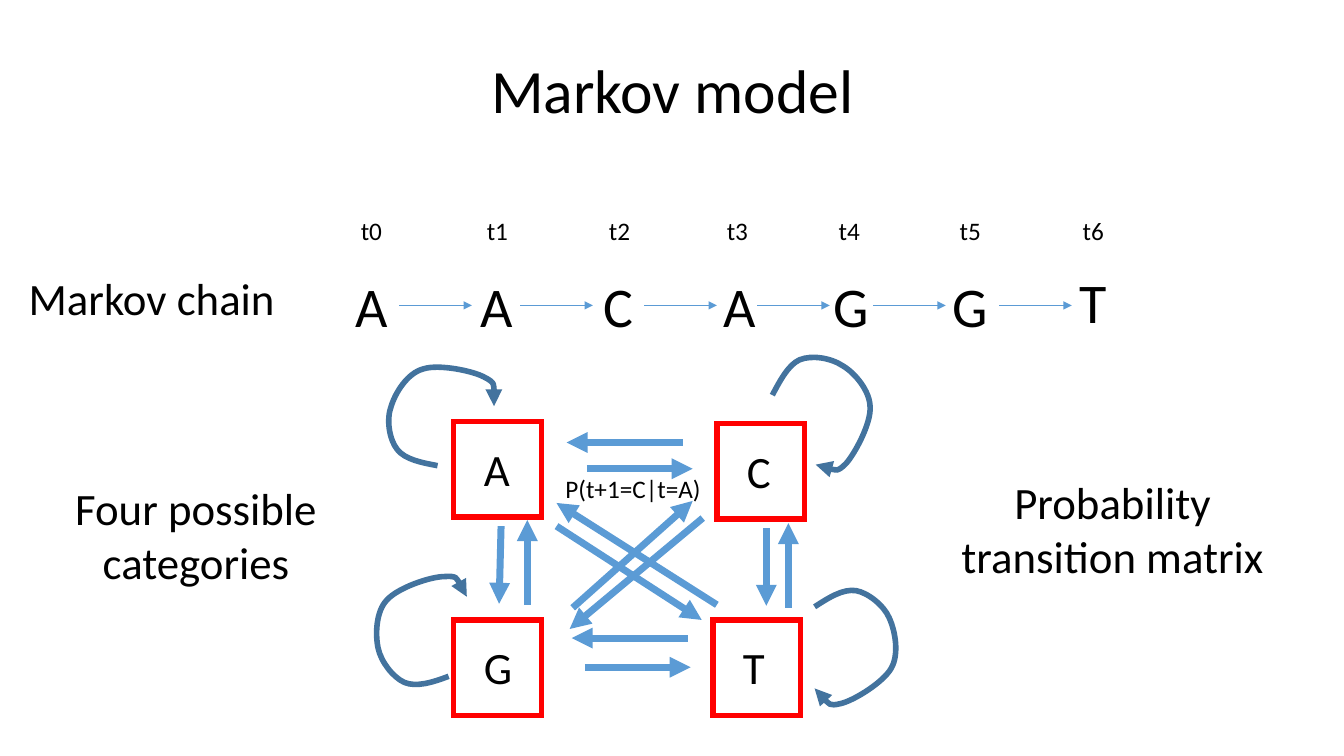
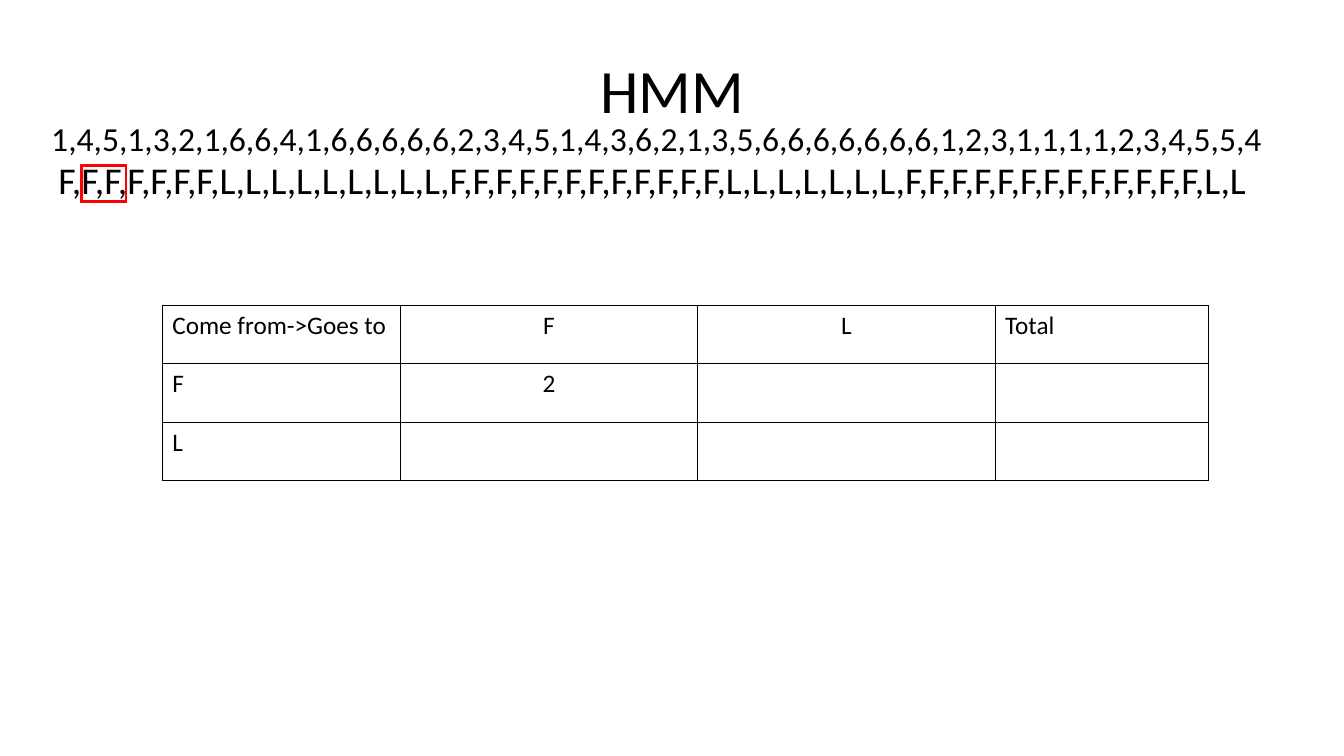
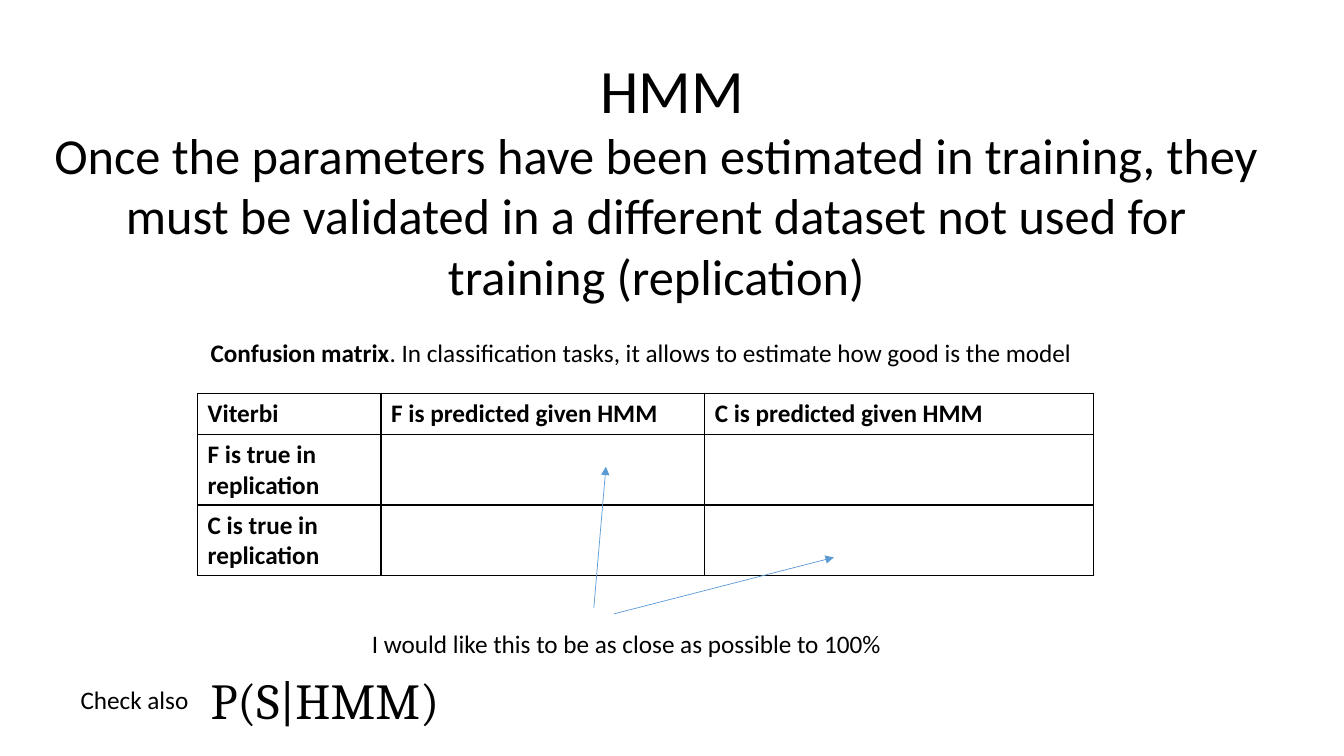
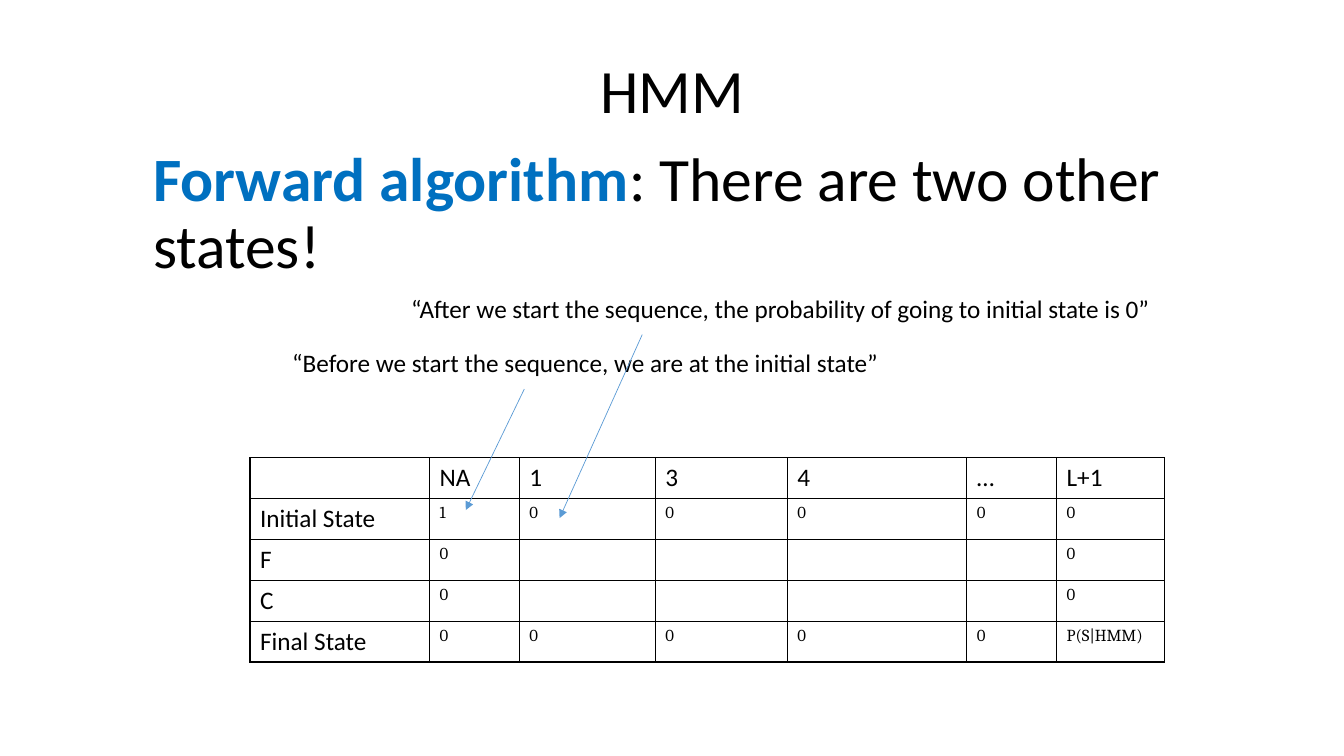
from dataclasses import dataclass
from typing import Callable, Optional, Sequence

from lxml import etree
from pptx import Presentation
from pptx.dml.color import RGBColor
from pptx.enum.shapes import MSO_CONNECTOR, MSO_SHAPE
from pptx.enum.text import MSO_ANCHOR, MSO_AUTO_SIZE, PP_ALIGN
from pptx.oxml import parse_xml
from pptx.oxml.ns import nsdecls, qn
from pptx.util import Pt

EMU_PER_PX = 9144
BLACK, RED = "000000", "FF0000"
BLUE, DARK_BLUE, ACCENT = "5B9BD5", "43739E", "0070C0"
BODY_FONT, MATH_FONT = "Calibri", "Cambria"
LEFT, CENTER = PP_ALIGN.LEFT, PP_ALIGN.CENTER
TOP, MIDDLE = MSO_ANCHOR.TOP, MSO_ANCHOR.MIDDLE
GROW, FIXED = MSO_AUTO_SIZE.SHAPE_TO_FIT_TEXT, MSO_AUTO_SIZE.NONE
STRAIGHT, RECT = MSO_CONNECTOR.STRAIGHT, MSO_SHAPE.RECTANGLE

Box = tuple[int, int, int, int]
Point = tuple[int, int]


@dataclass(frozen=True)
class Style:
    size: int = 18
    font: str = BODY_FONT
    bold: bool = False
    align: PP_ALIGN = LEFT
    spacing: Optional[float] = None
    anchor: MSO_ANCHOR = TOP
    wrap: bool = False
    fit: MSO_AUTO_SIZE = GROW


@dataclass(frozen=True)
class Lead:
    text: str
    color: str = BLACK


@dataclass(frozen=True)
class Step:
    letter: str
    left: int
    width: int
    label_left: int
    arrow_left: Optional[int] = None


@dataclass(frozen=True)
class State:
    letter: str
    left: int
    top: int
    text_width: int


@dataclass(frozen=True)
class Grid:
    left: int
    top: int
    cols: Sequence[int]
    rows: Sequence[int]
    cells: Sequence[Sequence[str]]


NOTE = Style()
TITLE = Style(44, align=CENTER, spacing=0.9, anchor=MIDDLE, wrap=True, fit=FIXED)
SUBTITLE = Style(44, spacing=0.9, anchor=MIDDLE, wrap=True, fit=FIXED)
HEADING = Style(32, align=CENTER, wrap=True)
STATEMENT = Style(36, align=CENTER, wrap=True)
CHAIN_LETTER, STATE_LETTER = Style(40), Style(32)
FORMULA = Style(36, MATH_FONT)
CELL, CELL_CENTER = Style(), Style(align=CENTER)
CELL_BOLD, CELL_MATH = Style(bold=True), Style(12, MATH_FONT)

STEPS = (
    Step("A", 343, 53, 348, 396),
    Step("A", 467, 53, 473, 516),
    Step("C", 589, 50, 594, 639),
    Step("A", 708, 53, 711, 751),
    Step("G", 817, 56, 822, 866),
    Step("G", 935, 56, 942, 991),
    Step("T", 1061, 48, 1064),
)
STATES = (
    State("A", 450, 418, 46),
    State("C", 711, 420, 44),
    State("G", 450, 615, 49),
    State("T", 707, 615, 42),
)
TRANSITIONS: Sequence[tuple[Point, Point]] = (
    ((677, 439), (562, 439)), ((582, 465), (687, 465)),
    ((497, 522), (495, 599)), ((523, 600), (523, 516)),
    ((760, 524), (760, 601)), ((782, 603), (782, 519)),
    ((682, 633), (567, 633)), ((580, 662), (685, 662)),
    ((552, 522), (696, 615)), ((711, 600), (552, 499)),
    ((568, 603), (687, 497)), ((697, 514), (565, 624)),
)
LOOPS: Sequence[Sequence[Point]] = (
    ((434, 462), (418, 459), (402, 456), (394, 446), (386, 436), (383, 416), (388, 403),
     (392, 390), (404, 370), (420, 366), (435, 361), (469, 368), (480, 374),
     (492, 380), (491, 392), (490, 403)),
    ((445, 671), (429, 677), (413, 682), (401, 677), (390, 672), (378, 657), (375, 643),
     (372, 629), (373, 606), (384, 595), (395, 583), (427, 572), (441, 572),
     (454, 571), (459, 582), (463, 592)),
    ((766, 392), (774, 377), (782, 362), (793, 357), (805, 352), (824, 355), (836, 363),
     (848, 370), (863, 388), (863, 404), (864, 420), (848, 450), (839, 460),
     (830, 469), (819, 465), (809, 461)),
    ((808, 602), (822, 593), (836, 584), (849, 586), (861, 588), (877, 601), (882, 613),
     (888, 626), (892, 649), (884, 663), (876, 677), (847, 695), (834, 698),
     (822, 701), (815, 692), (808, 683)),
)
ROLLS = ("1,4,5,1,3,2,1,6,6,4,1,6,6,6,6,6,2,3,4,5,1,4,3,6,2,1,3,5,"
         "6,6,6,6,6,6,6,1,2,3,1,1,1,1,2,3,4,5,5,4")
HIDDEN = ",".join("F" * 7 + "L" * 9 + "F" * 12 + "L" * 7 + "F" * 13 + "L" * 2)


def px(n: int) -> int:
    return n * EMU_PER_PX


def rgb(color: str) -> RGBColor:
    return RGBColor.from_string(color)


def set_text(tf, text: str, style: Style, lead: Optional[Lead] = None) -> None:
    p = tf.paragraphs[0]
    p.alignment = style.align
    if style.spacing:
        p.line_spacing = style.spacing
    p.font.size = Pt(style.size)
    p.font.name = style.font
    p.font.bold = style.bold
    p.font.color.rgb = rgb(BLACK)
    if lead:
        r = p.add_run()
        r.text = lead.text
        r.font.bold = True
        r.font.color.rgb = rgb(lead.color)
    p.add_run().text = text


def add_text(slide, box: Box, text: str, style: Style = NOTE, lead: Optional[Lead] = None) -> None:
    tf = slide.shapes.add_textbox(*map(px, box)).text_frame
    tf.word_wrap = style.wrap
    tf.auto_size = style.fit
    tf.vertical_anchor = style.anchor
    set_text(tf, text, style, lead)


def add_title(slide, text: str) -> None:
    add_text(slide, (217, 30, 900, 125), text, TITLE)


def set_line(sp, color: str, width: float, arrow: bool = False) -> None:
    sp.line.color.rgb = rgb(color)
    sp.line.width = Pt(width)
    ln = sp.get_or_add_ln()
    etree.SubElement(ln, qn("a:miter"), lim="800000")
    if arrow:
        etree.SubElement(ln, qn("a:tailEnd"), type="triangle")


def add_arrow(slide, start: Point, end: Point, width: float = 0.5) -> None:
    sp = slide.shapes.add_connector(STRAIGHT, *map(px, start + end))
    set_line(sp, BLUE, width, arrow=True)
    etree.SubElement(sp.element.spPr, qn("a:effectLst"))


def add_frame(slide, box: Box, width: float) -> None:
    sp = slide.shapes.add_shape(RECT, *map(px, box))
    sp.shadow.inherit = False
    sp.fill.background()
    set_line(sp, RED, width)


def add_loop(slide, knots: Sequence[Point]) -> None:
    builder = slide.shapes.build_freeform(*knots[0], scale=EMU_PER_PX)
    builder.add_line_segments(knots[1:], close=False)
    sp = builder.convert_to_shape()
    segments = list(sp.element.iter(qn("a:lnTo")))
    for i in range(0, len(segments), 3):
        first, *rest = segments[i:i + 3]
        first.tag = qn("a:cubicBezTo")
        for segment in rest:
            first.append(segment[0])
            segment.getparent().remove(segment)
    sp.shadow.inherit = False
    sp.fill.background()
    set_line(sp, DARK_BLUE, 4, arrow=True)


def add_grid(slide, grid: Grid, style_at: Callable[[int, int], Style]) -> None:
    size = len(grid.rows), len(grid.cols)
    box = grid.left, grid.top, sum(grid.cols), sum(grid.rows)
    frame = slide.shapes.add_table(*size, *map(px, box))
    table = frame.table
    table.first_row = table.horz_banding = False
    for col, width in zip(table.columns, grid.cols):
        col.width = px(width)
    for row, height in zip(table.rows, grid.rows):
        row.height = px(height)
    for i, texts in enumerate(grid.cells):
        for j, text in enumerate(texts):
            cell = table.cell(i, j)
            cell.fill.background()
            if text:
                set_text(cell.text_frame, text, style_at(i, j))
    for props in frame.element.iter(qn("a:tcPr")):
        for i, side in enumerate(("lnL", "lnR", "lnT", "lnB")):
            props.insert(i, parse_xml(
                f'<a:{side} {nsdecls("a")} w="{Pt(1)}"><a:solidFill>'
                f'<a:srgbClr val="{BLACK}"/></a:solidFill></a:{side}>'))


def build_markov(slide) -> None:
    add_title(slide, "Markov model")
    add_text(slide, (-44, 264, 389, 64), "Markov chain", HEADING)
    for i, step in enumerate(STEPS):
        top = 264 if step.arrow_left else 261
        add_text(slide, (step.left, top, step.width, 77), step.letter, CHAIN_LETTER)
        add_text(slide, (step.label_left, 209, 41, 40), f"t{i}")
        if step.arrow_left:
            add_arrow(slide, (step.arrow_left, 303), (step.arrow_left + 72, 303))
    for state in STATES:
        add_frame(slide, (state.left, state.top, 87, 95), 4)
        box = state.left + 20, state.top + 15, state.text_width, 64
        add_text(slide, box, state.letter, STATE_LETTER)
    for start, end in TRANSITIONS:
        add_arrow(slide, start, end, 5)
    for knots in LOOPS:
        add_loop(slide, knots)
    add_text(slide, (909, 466, 389, 118), "Probability transition matrix", HEADING)
    add_text(slide, (43, 472, 303, 118), "Four possible categories", HEADING)
    add_text(slide, (551, 465, 156, 40), "P(t+1=C|t=A)")


def build_counts(slide) -> None:
    add_title(slide, "HMM")
    add_text(slide, (41, 112, 1232, 50), ROLLS, Style(24))
    add_frame(slide, (81, 164, 44, 36), 2)
    grid = Grid(161, 303, (236, 295, 295, 212), (58,) * 3, (
        ("Come from->Goes to", "F", "L", "Total"),
        ("F", "2", "", ""),
        ("L", "", "", ""),
    ))
    add_grid(slide, grid, lambda i, j: CELL_CENTER if j in (1, 2) else CELL)
    add_text(slide, (48, 151, 1211, 56), HIDDEN, Style(27))


def build_validation(slide) -> None:
    add_title(slide, "HMM")
    add_text(slide, (34, 118, 1234, 192),
             "Once the parameters have been estimated in training, they must be validated "
             "in a different dataset not used for training (replication)", STATEMENT)
    grid = Grid(196, 390, (182, 321, 386), (41, 70, 70), (
        ("Viterbi", "F is predicted given HMM", "C is predicted given HMM"),
        ("F is true in replication", "", ""),
        ("C is true in replication", "", ""),
    ))
    add_grid(slide, grid, lambda i, j: CELL_BOLD)
    add_text(slide, (199, 330, 883, 40),
             ". In classification tasks, it allows to estimate how good is the model",
             lead=Lead("Confusion matrix"))
    add_arrow(slide, (589, 603), (601, 463))
    add_arrow(slide, (609, 609), (827, 553))
    add_text(slide, (359, 618, 531, 40), "I would like this to be as close as possible to 100%")
    add_text(slide, (199, 659, 249, 71), "P(S|HMM)", FORMULA)
    add_text(slide, (70, 674, 129, 40), "Check also")


def build_forward(slide) -> None:
    add_text(slide, (142, 141, 1150, 145), ": There are two other states!", SUBTITLE,
             Lead("Forward algorithm", ACCENT))
    grid = Grid(248, 454, (178, 89, 135, 131, 178, 89, 107), (40,) * 5, (
        ("", "NA", "1", "3", "4", "…", "L+1"),
        ("Initial State", "1", "0", "0", "0", "0", "0"),
        ("F", "0", "", "", "", "", "0"),
        ("C", "0", "", "", "", "", "0"),
        ("Final State", "0", "0", "0", "0", "0", "P(S|HMM)"),
    ))
    add_grid(slide, grid, lambda i, j: CELL_MATH if i and j else CELL)
    add_title(slide, "HMM")
    add_arrow(slide, (520, 386), (462, 506))
    add_text(slide, (280, 340, 608, 40),
             "“Before we start the sequence, we are at the initial state”")
    add_arrow(slide, (637, 332), (555, 514))
    add_text(slide, (398, 286, 762, 40),
             "“After we start the sequence, the probability of going to initial state is 0”")


def main() -> None:
    prs = Presentation()
    prs.slide_width, prs.slide_height = px(1333), px(750)
    blank = prs.slide_layouts[6]
    for build in (build_markov, build_counts, build_validation, build_forward):
        build(prs.slides.add_slide(blank))
    prs.save("out.pptx")


if __name__ == "__main__":
    main()
